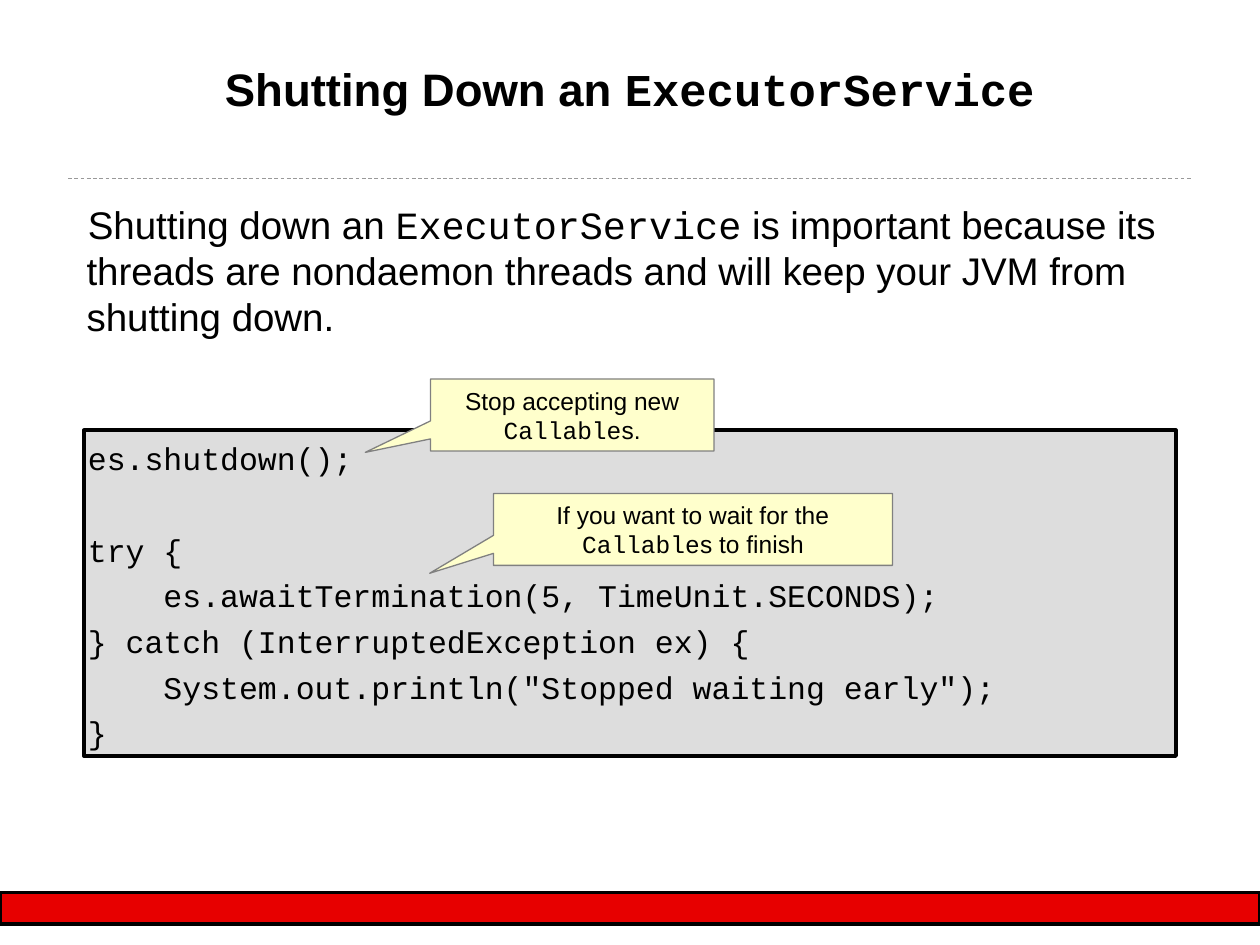
import pptx
import pptx.util
import pptx.dml.color
import pptx.enum.dml
import pptx.enum.shapes
import pptx.enum.text
import pptx.oxml.ns
from dataclasses import dataclass

Pt = pptx.util.Pt
Kind = pptx.enum.shapes.MSO_SHAPE
Side = pptx.enum.text.PP_ALIGN
Hold = pptx.enum.text.MSO_ANCHOR
UNIT = pptx.util.Inches(10) / 120


@dataclass(frozen=True)
class Theme:
    ink: str = "000000"
    rule: str = "999999"
    bar: str = "E70000"
    panel: str = "DDDDDD"
    note: str = "FFFFCC"
    edge: str = "808080"
    sans: str = "Arial"
    mono: str = "Courier New"
    head: int = 26
    body: int = 22
    code: int = 18
    small: int = 14


THEME = Theme()


def color(text):
    return pptx.dml.color.RGBColor.from_string(text)


def grid(*cells):
    return [round(cell * UNIT) for cell in cells]


def apply(item, form):
    for name, value in form.items():
        setattr(item, name, value)


def block(slide, box, kind, fill, edge, width):
    shape = slide.shapes.add_shape(kind, *grid(*box))
    shape.shadow.inherit = False
    shape.fill.solid()
    shape.fill.fore_color.rgb = color(fill)
    shape.line.color.rgb = color(edge)
    shape.line.width = Pt(width)
    return shape


def write(para, runs, size, form, bold=False):
    apply(para, form)
    for text, face in runs:
        run = para.add_run()
        run.text = text
        apply(run.font, {"name": face, "size": Pt(size), "bold": bold})
        run.font.color.rgb = color(THEME.ink)


def panel(slide, box):
    frame = slide.shapes.add_textbox(*grid(*box)).text_frame
    inset = Pt(0.75)
    apply(frame, {"word_wrap": True, "margin_left": inset, "margin_right": inset,
                  "margin_top": inset, "margin_bottom": inset})
    return frame


def indent(para):
    props = para._p.get_or_add_pPr()
    for name in ("marL", "indent"):
        props.set(name, str(Pt(0.75)))


def title(slide, box):
    left, top, wide, high = box
    frame = panel(slide, (left, top, wide, high * 0.6))
    runs = [("Shutting Down an ", THEME.sans), ("ExecutorService", THEME.mono)]
    write(frame.paragraphs[0], runs, THEME.head, {"alignment": Side.CENTER}, True)
    line = slide.shapes.add_connector(
        pptx.enum.shapes.MSO_CONNECTOR.STRAIGHT,
        *grid(left - 1.5, top + high, left + wide + 1.5, top + high))
    line.line.color.rgb = color(THEME.rule)
    line.line.width = Pt(0.5)
    line.line.dash_style = pptx.enum.dml.MSO_LINE.DASH
    props = line._element.spPr
    props.append(props.makeelement(pptx.oxml.ns.qn("a:effectLst"), {}))


def intro(slide, box):
    para = panel(slide, box).paragraphs[0]
    indent(para)
    runs = [("Shutting down an ", THEME.sans), ("ExecutorService", THEME.mono),
            (" is important because its threads are nondaemon threads"
             " and will keep your JVM from shutting down.", THEME.sans)]
    write(para, runs, THEME.body, {"alignment": Side.LEFT})


def code(slide, box):
    left, top, wide, high = box
    block(slide, box, Kind.RECTANGLE, THEME.panel, THEME.ink, 2.25)
    frame = panel(slide, (left, top + 0.65, wide, high - 0.65))
    rows = [("es.shutdown();", 0),
            ("try {", 31),
            ("    es.awaitTermination(5, TimeUnit.SECONDS);", 4.5),
            ("} catch (InterruptedException ex) {", 4.5),
            ('    System.out.println("Stopped waiting early");', 4.5),
            ("}", 4.5)]
    for spot, (text, gap) in enumerate(rows):
        para = frame.add_paragraph() if spot else frame.paragraphs[0]
        indent(para)
        write(para, [(text, THEME.mono)], THEME.code, {"space_before": Pt(gap)})


def callout(slide, box, tip, start, end):
    shape = block(slide, box, Kind.RECTANGULAR_CALLOUT, THEME.note, THEME.edge, 0.75)
    for spot, value in enumerate(tip):
        shape.adjustments[spot] = value
    frame = shape.text_frame
    apply(frame, {"word_wrap": True, "vertical_anchor": Hold.MIDDLE})
    runs = [(start, THEME.sans), ("Callable", THEME.mono), (end, THEME.sans)]
    write(frame.paragraphs[0], runs, THEME.small, {"alignment": Side.CENTER})


def footer(slide, box):
    block(slide, box, Kind.FLOWCHART_PROCESS, THEME.bar, THEME.ink, 2.25)


def main():
    deck = pptx.Presentation()
    apply(deck, {"slide_width": round(120 * UNIT), "slide_height": round(90 * UNIT)})
    slide = deck.slides.add_slide(deck.slide_layouts[6])
    footer(slide, (0, 85, 120, 3))
    title(slide, (8, 5.7, 104, 11.3))
    intro(slide, (8, 19, 104, 15))
    code(slide, (8, 41, 104, 31))
    callout(slide, (47, 47, 38, 6.85), (-0.66, 0.61),
            "If you want to wait for the ", "s to finish")
    callout(slide, (41, 36.1, 27, 6.85), (-0.73, 0.52),
            "Stop accepting new ", "s.")
    deck.save("out.pptx")


if __name__ == "__main__":
    main()
